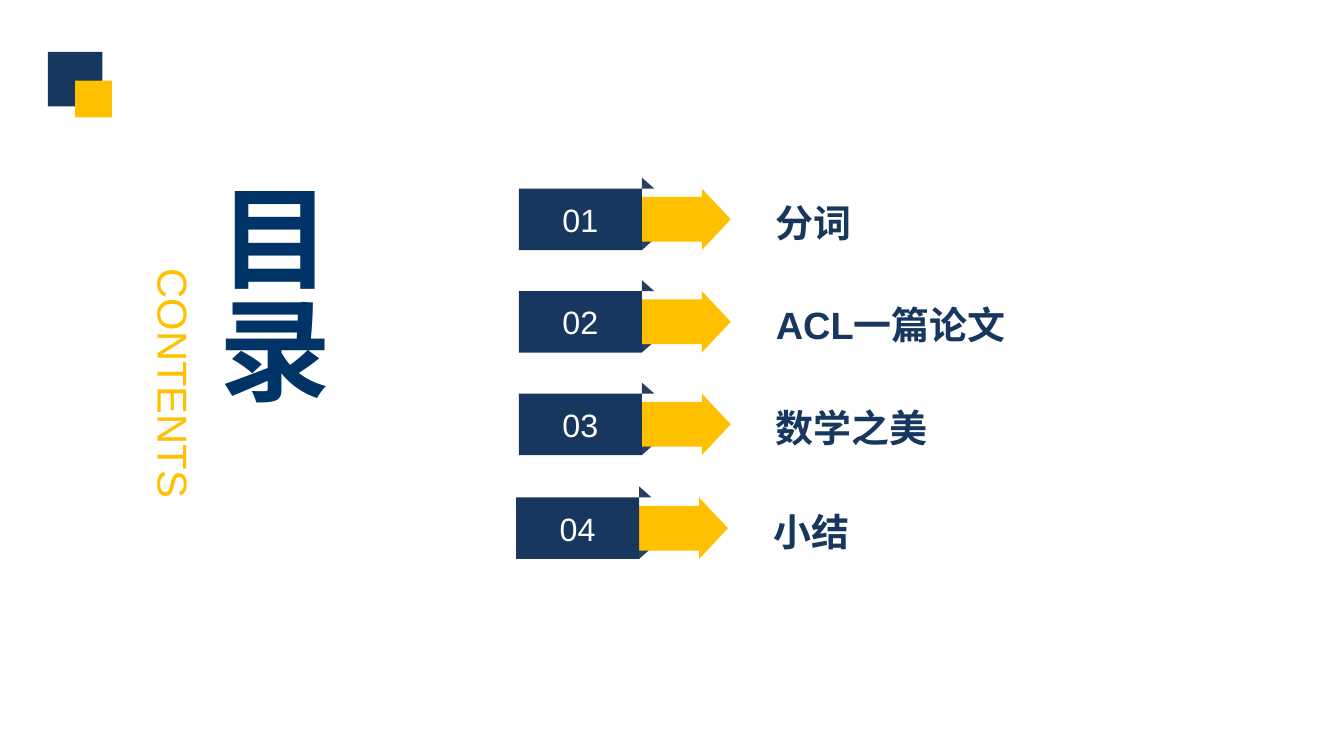
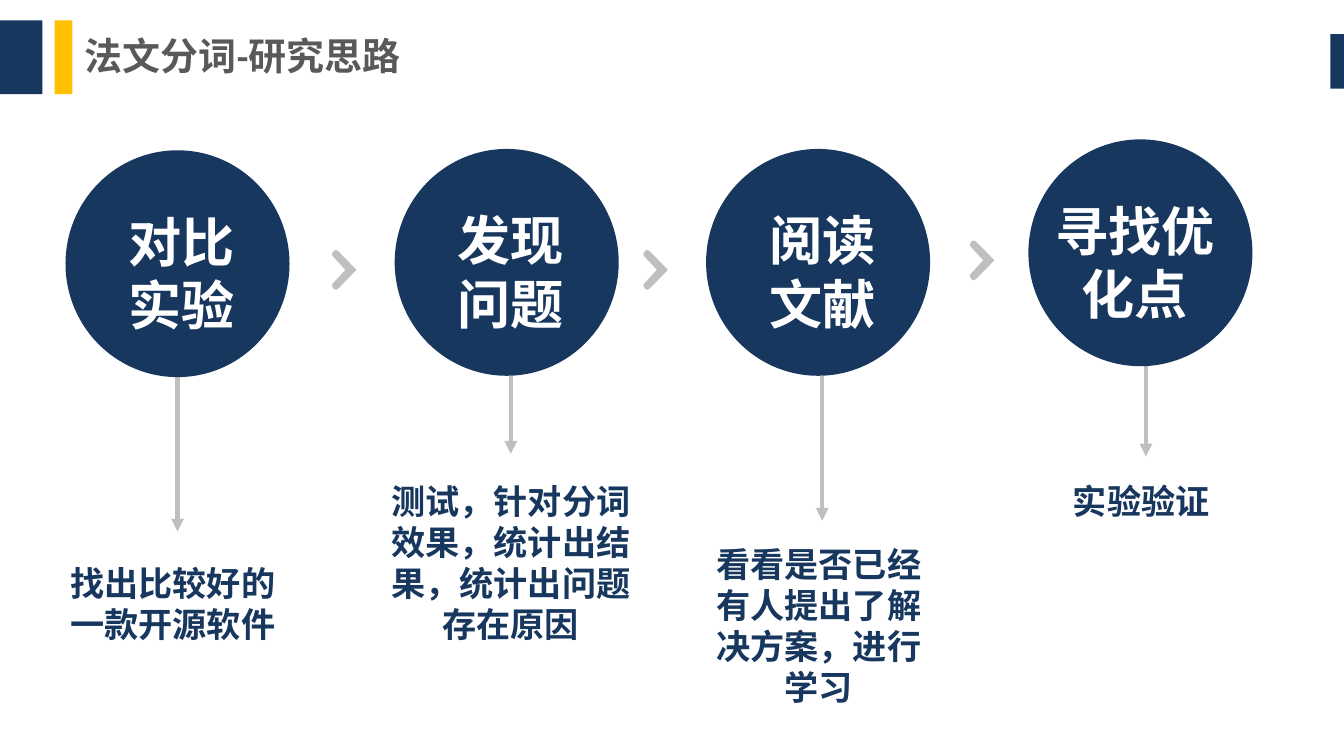
from lxml import etree
from pptx import Presentation
from pptx import util as u
from pptx.dml.color import RGBColor
from pptx.enum import shapes, text
from pptx.oxml import ns

NAVY = RGBColor(0x17, 0x37, 0x5E)
FOLD = RGBColor(0x25, 0x40, 0x61)
DEEP_BLUE = RGBColor(0x00, 0x34, 0x66)
GOLD = RGBColor(0xFF, 0xC0, 0x00)
SILVER = RGBColor(0xBF, 0xBF, 0xBF)
GRAY = RGBColor(0x59, 0x59, 0x59)
WHITE = RGBColor(0xFF, 0xFF, 0xFF)
HAN_FONT = "Noto Sans CJK SC"

WIDTH, HEIGHT = 9.84, 5.51
LINE_HEIGHT = 1.2

AGENDA = [
    ("01", "分词", 3.8, 1.38),
    ("02", "ACL一篇论文", 3.8, 2.13),
    ("03", "数学之美", 3.8, 2.88),
    ("04", "小结", 3.78, 3.64),
]

STEPS = [
    dict(name=["对比", "实验"], circle=(0.48, 1.1), name_shift=0.14, arrow=(1.3, 3.89),
         caption="找出比较好的一款开源软件", caption_at=(0.43, 4.05, 1.72, 0.67)),
    dict(name=["发现", "问题"], circle=(2.89, 1.09), name_shift=0.14, arrow=(3.74, 3.32),
         caption="测试，针对分词效果，统计出结果，统计出问题存在原因",
         caption_at=(2.77, 3.45, 1.99, 1.27)),
    dict(name=["阅读", "文献"], circle=(5.17, 1.09), name_shift=0.14, arrow=(6.02, 3.81),
         caption="看看是否已经有人提出了解决方案，进行学习",
         caption_at=(5.16, 3.91, 1.72, 1.27)),
    dict(name=["寻找优化点"], circle=(7.53, 1.02), name_shift=0.07, arrow=(8.39, 3.34),
         caption="实验验证", caption_at=(7.52, 3.45, 1.72, 0.37)),
]
CHEVRONS = [(2.43, 1.83), (4.71, 1.83), (7.1, 1.76)]
CHEVRON_SIZE = (0.18, 0.29)
CHEVRON_HALF = [(0.55, 0.5), (0.06, 0.17), (0, 0.12), (0.03, 0.06),
                (0.1, 0.01), (0.18, 0), (0.28, 0.04), (1, 0.5)]


def inches(*lengths):
    return [u.Inches(length) for length in lengths]


def paint(shape, color):
    shape.shadow.inherit = False
    shape.fill.solid()
    shape.fill.fore_color.rgb = color
    shape.line.fill.background()
    return shape


def add_block(page, kind, at, color):
    return paint(page.shapes.add_shape(kind, *inches(*at)), color)


def write(shape, lines, size, color, font="Arial", bold=False,
          align=text.PP_ALIGN.CENTER, anchor=text.MSO_ANCHOR.MIDDLE,
          insets=(0, 0, 0, 0), stacked=False):
    frame = shape.text_frame
    frame.word_wrap = True
    frame.vertical_anchor = anchor
    left, top, right, bottom = insets
    if stacked:
        top += size * 0.1 / 72
    frame.margin_left, frame.margin_top, frame.margin_right, frame.margin_bottom = inches(
        left, top, right, bottom)
    for index, line in enumerate(lines):
        para = frame.add_paragraph() if index else frame.paragraphs[0]
        para.alignment = align
        if stacked:
            para.line_spacing = u.Pt(size * LINE_HEIGHT)
        span = para.add_run()
        span.text = line
        span.font.name = font
        span.font.size = u.Pt(size)
        span.font.bold = bold
        span.font.color.rgb = color
        han = etree.SubElement(span.font._element, ns.qn("a:ea"))
        han.set("typeface", HAN_FONT)


def add_text(page, at, lines, size, color, **style):
    box = page.shapes.add_textbox(*inches(*at))
    write(box, lines, size, color, **style)
    return box


def add_agenda_row(page, number, label, left, top):
    tag_width, tag_height, fold_width, fold_height = 0.9, 0.45, 0.09, 0.08
    edge = left + tag_width
    triangle = shapes.MSO_SHAPE.RIGHT_TRIANGLE
    lower = add_block(page, triangle, (edge, top + 0.37, fold_width, fold_height), FOLD)
    lower._element.spPr.xfrm.set("flipV", "1")
    add_block(page, triangle, (edge, top - fold_height, fold_width, fold_height), FOLD)
    arrow = add_block(page, shapes.MSO_SHAPE.RIGHT_ARROW,
                      (left + 0.23, top, 1.32, tag_height), GOLD)
    arrow.adjustments[0], arrow.adjustments[1] = 0.73, 0.47
    tag = add_block(page, shapes.MSO_SHAPE.RECTANGLE, (left, top, tag_width, tag_height), NAVY)
    write(tag, [number], 17, WHITE)
    add_text(page, (left + 1.88, top + 0.08, 2.52, 0.33), [label], 20, NAVY,
             bold=True, align=text.PP_ALIGN.LEFT)


def add_down_arrow(page, x, top, bottom):
    arrow = page.shapes.add_connector(shapes.MSO_CONNECTOR.STRAIGHT,
                                      *inches(x, top, x, bottom))
    arrow.line.color.rgb = SILVER
    arrow.line.width = u.Pt(2.25)
    head = etree.SubElement(arrow.line._get_or_add_ln(), ns.qn("a:tailEnd"))
    head.set("type", "triangle")
    etree.SubElement(arrow._element.spPr, ns.qn("a:effectLst"))


def add_chevron(page, left, top):
    width, height = CHEVRON_SIZE
    lower_half = [(x, 1 - y) for x, y in reversed(CHEVRON_HALF[1:-1])]
    outline = [tuple(inches(left + x * width, top + y * height))
               for x, y in CHEVRON_HALF + lower_half]
    builder = page.shapes.build_freeform(*outline[0])
    builder.add_line_segments(outline[1:], close=True)
    paint(builder.convert_to_shape(), SILVER)


def add_step(page, step):
    left, top = step["circle"]
    diameter, drop = 1.64, 1.66
    arrow_x, arrow_end = step["arrow"]
    add_down_arrow(page, arrow_x, top + drop, arrow_end)
    add_block(page, shapes.MSO_SHAPE.OVAL, (left, top, diameter, drop), NAVY)
    style = dict(bold=True, anchor=text.MSO_ANCHOR.TOP, stacked=True)
    add_text(page, (left + step["name_shift"], top + 0.39, 1.42, 0.93), step["name"],
             28, WHITE, font="Calibri", **style)
    add_text(page, step["caption_at"], [step["caption"]], 18, NAVY, font=HAN_FONT,
             insets=(0.07, 0.04, 0.12, 0.03), **style)


def build_contents(page):
    square = shapes.MSO_SHAPE.RECTANGLE
    add_block(page, square, (0.35, 0.38, 0.4, 0.4), NAVY)
    add_block(page, square, (0.55, 0.59, 0.27, 0.27), GOLD)
    for row in AGENDA:
        add_agenda_row(page, *row)
    heading = add_text(page, (1.5, 1.33, 0.98, 2.89), ["目录"], 59, DEEP_BLUE, bold=True)
    heading.text_frame._txBody.bodyPr.set("vert", "eaVert")
    subtitle = add_text(page, (0.02, 2.62, 2.51, 0.37), ["CONTENTS"], 22, GOLD,
                        anchor=text.MSO_ANCHOR.TOP)
    subtitle.rotation = 90


def build_approach(page):
    bar = shapes.MSO_SHAPE.RECTANGLE
    add_block(page, bar, (0, 0.15, 0.31, 0.54), NAVY)
    add_block(page, bar, (0.4, 0.15, 0.13, 0.54), GOLD)
    add_block(page, bar, (WIDTH - 0.1, 0.25, 0.1, 0.4), NAVY)
    add_text(page, (0.62, 0.24, 2.69, 0.33), ["法文分词-研究思路"], 20, GRAY,
             font="Calibri", bold=True, align=text.PP_ALIGN.LEFT)
    for step in STEPS:
        add_step(page, step)
    for corner in CHEVRONS:
        add_chevron(page, *corner)


def main():
    deck = Presentation()
    deck.slide_width, deck.slide_height = inches(WIDTH, HEIGHT)
    for build in (build_contents, build_approach):
        page = deck.slides.add_slide(deck.slide_layouts[6])
        page.background.fill.solid()
        page.background.fill.fore_color.rgb = WHITE
        build(page)
    deck.save("out.pptx")


if __name__ == "__main__":
    main()
